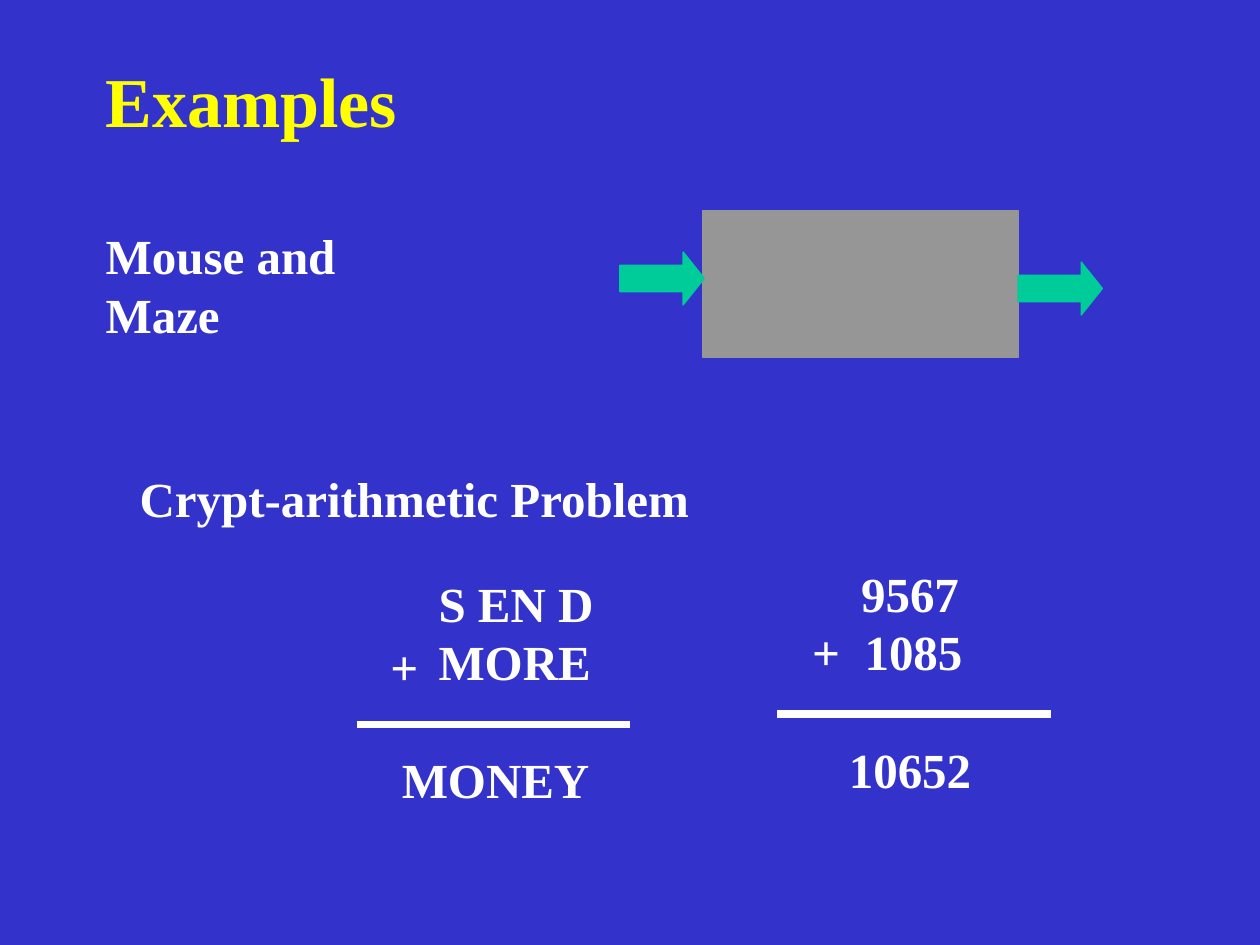
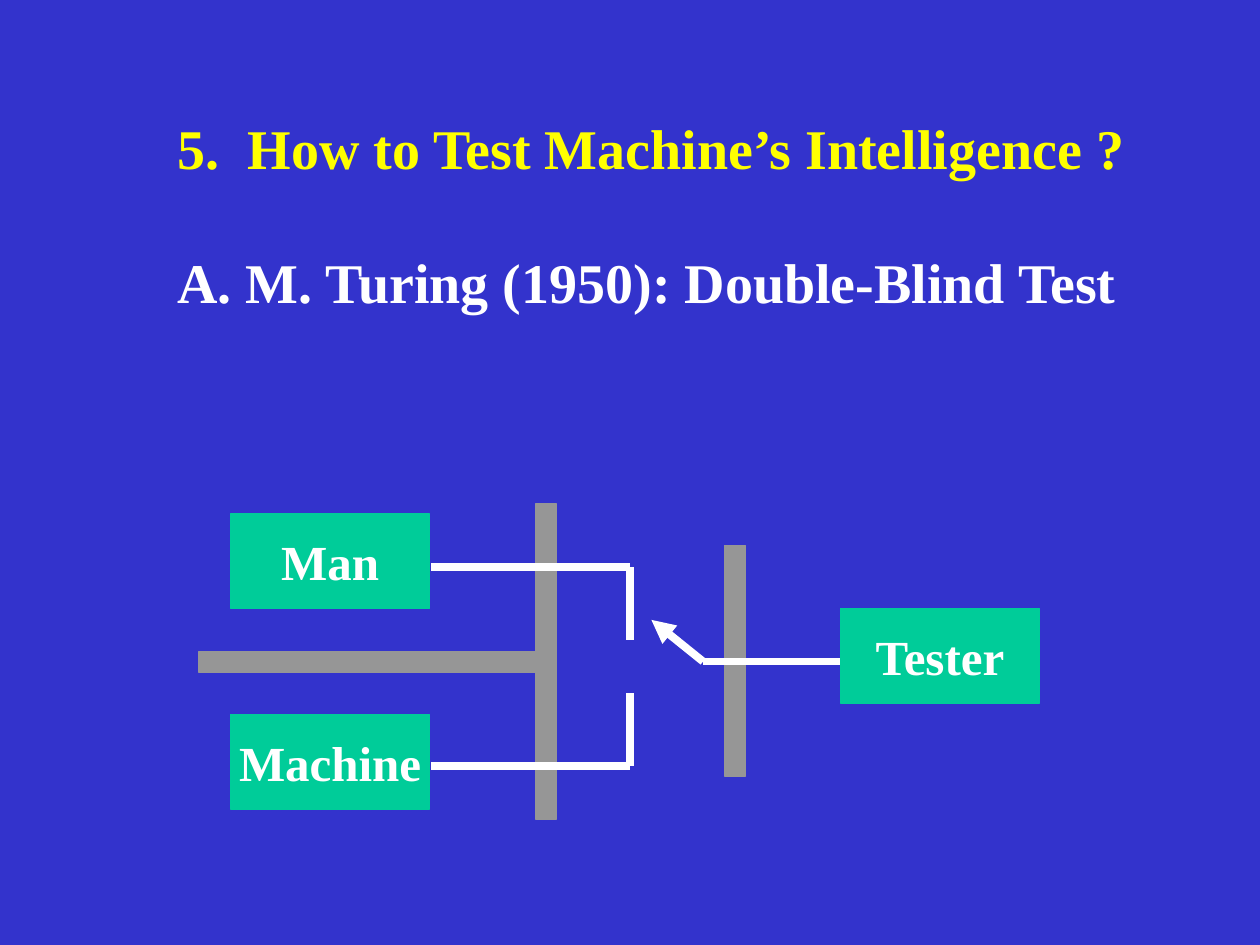
"""Build two slides on example problems and the Turing test."""
from dataclasses import dataclass

import pptx
import pptx.dml.color
import pptx.enum.dml
import pptx.enum.shapes
import pptx.enum.text
import pptx.oxml.ns
import pptx.presentation
import pptx.shapes.autoshape
import pptx.slide
import pptx.text.text
import pptx.util
from lxml import etree

Inches = pptx.util.Inches
Pt = pptx.util.Pt
RGB = pptx.dml.color.RGBColor
Shape = pptx.enum.shapes.MSO_SHAPE
qn = pptx.oxml.ns.qn


@dataclass(frozen=True)
class Theme:
    background: RGB = RGB(0x33, 0x33, 0xCC)
    title: RGB = RGB(0xFF, 0xFF, 0x00)
    text: RGB = RGB(0xFF, 0xFF, 0xFF)
    accent: RGB = RGB(0x00, 0xCC, 0x99)
    wall: RGB = RGB(0x96, 0x96, 0x96)
    font: str = "Times New Roman"
    title_size: int = 40
    heading_size: int = 32
    body_size: int = 28
    leading: float = 1.2
    outline: float = 0.75
    stroke: float = 4.5


THEME = Theme()


@dataclass(frozen=True)
class Para:
    text: str
    size: int = THEME.body_size
    color: RGB = THEME.text
    margin: int = 0
    hanging: int = 0
    gap: int = 0


@dataclass(frozen=True)
class TextBox:
    left: float
    top: float
    width: float
    height: float
    paras: tuple[Para, ...]


@dataclass(frozen=True)
class Block:
    left: float
    top: float
    width: float
    height: float
    color: RGB = THEME.wall
    label: str = ""
    kind: Shape = Shape.RECTANGLE


@dataclass(frozen=True)
class Stroke:
    x1: float
    y1: float
    x2: float
    y2: float
    arrow: bool = False


def arrow(left: float, top: float) -> Block:
    return Block(left, top, 0.67, 0.42, THEME.accent, kind=Shape.RIGHT_ARROW)


def party(label: str, left: float, top: float) -> Block:
    return Block(left, top, 1.58, 0.75, THEME.accent, label)


def write_para(p: pptx.text.text._Paragraph, para: Para) -> None:
    p.text = para.text
    pPr = p._p.get_or_add_pPr()
    pPr.set("marL", str(Pt(para.margin)))
    pPr.set("indent", str(-Pt(para.hanging)))
    p.line_spacing = Pt(para.size * THEME.leading)
    if para.gap:
        p.space_before = Pt(para.gap * THEME.leading)
    for r in p.runs:
        r.font.name = THEME.font
        r.font.size = Pt(para.size)
        r.font.bold = True
        r.font.color.rgb = para.color


def draw_text(slide: pptx.slide.Slide, box: TextBox) -> None:
    sp = slide.shapes.add_textbox(
        Inches(box.left), Inches(box.top), Inches(box.width), Inches(box.height))
    tf = sp.text_frame
    tf.word_wrap = False
    tf.auto_size = pptx.enum.text.MSO_AUTO_SIZE.SHAPE_TO_FIT_TEXT
    for i, para in enumerate(box.paras):
        write_para(tf.add_paragraph() if i else tf.paragraphs[0], para)


def draw_block(slide: pptx.slide.Slide, block: Block) -> None:
    sp = slide.shapes.add_shape(
        block.kind, Inches(block.left), Inches(block.top),
        Inches(block.width), Inches(block.height))
    sp.shadow.inherit = False
    sp.fill.solid()
    sp.fill.fore_color.rgb = block.color
    sp.line.color.rgb = block.color
    sp.line.width = Pt(THEME.outline)
    if block.kind == Shape.RIGHT_ARROW:
        sp.adjustments[1] = 0.4
    if block.label:
        tf = sp.text_frame
        tf.word_wrap = False
        tf.vertical_anchor = pptx.enum.text.MSO_ANCHOR.MIDDLE
        write_para(tf.paragraphs[0], Para(block.label))
        tf.paragraphs[0].alignment = pptx.enum.text.PP_ALIGN.CENTER


def draw_stroke(slide: pptx.slide.Slide, stroke: Stroke) -> None:
    line = slide.shapes.add_connector(
        pptx.enum.shapes.MSO_CONNECTOR.STRAIGHT, Inches(stroke.x1),
        Inches(stroke.y1), Inches(stroke.x2), Inches(stroke.y2))
    line.line.color.rgb = THEME.text
    line.line.width = Pt(THEME.stroke)
    if stroke.arrow:
        etree.SubElement(line.line._get_or_add_ln(), qn("a:tailEnd"), type="triangle")
    etree.SubElement(line._element.spPr, qn("a:effectLst"))


def add_slide(prs: pptx.presentation.Presentation, texts: list[TextBox],
              blocks: list[Block], strokes: list[Stroke]) -> None:
    slide = prs.slides.add_slide(prs.slide_layouts[6])
    slide.background.fill.solid()
    slide.background.fill.fore_color.rgb = THEME.background
    for box in texts:
        draw_text(slide, box)
    for block in blocks:
        draw_block(slide, block)
    for stroke in strokes:
        draw_stroke(slide, stroke)


def add_examples(prs: pptx.presentation.Presentation) -> None:
    body = THEME.body_size
    texts = [
        TextBox(0.74, 0.41, 3.02, 1.9, (
            Para("Examples", THEME.title_size, THEME.title),
            Para("Mouse and Maze", gap=THEME.title_size))),
        TextBox(1.01, 3.67, 4.56, 0.57, (Para("Crypt-arithmetic Problem"),)),
        TextBox(3.09, 4.5, 1.72, 1.97, (
            Para("S EN D", margin=21), Para("MORE", margin=21),
            Para("MONEY", gap=body))),
        TextBox(3, 5, 0.42, 0.57, (Para("+"),)),
        TextBox(6.25, 4.42, 1.56, 1.97, (
            Para("9567", margin=35), Para("+\t1085", margin=37, hanging=30),
            Para("10652", margin=28, gap=body))),
    ]
    maze = Block(5.58, 1.67, 2.5, 1.17)
    blocks = [maze, arrow(4.92, 2), arrow(maze.left + maze.width, 2.08)]
    sum_lines = [Stroke(x, y, x + 2.17, y) for x, y in ((2.83, 5.75), (6.17, 5.67))]
    add_slide(prs, texts, blocks, sum_lines)


def add_turing_test(prs: pptx.presentation.Presentation) -> None:
    size = THEME.heading_size
    heading = TextBox(1.31, 0.85, 7.79, 1.7, (
        Para("5.\tHow to Test Machine’s Intelligence ?", size, THEME.title,
             margin=40, hanging=40),
        Para("A. M. Turing (1950): Double-Blind Test", size, gap=size)))
    blocks = [
        party("Man", 1.83, 4.08),
        party("Machine", 1.83, 5.67),
        Block(1.58, 5.17, 2.67, 0.17),
        Block(4.25, 4, 0.17, 2.5),
        Block(5.75, 4.33, 0.17, 1.83),
        party("Tester", 6.67, 4.83),
    ]
    strokes = [Stroke(5.58, 5.25, 6.67, 5.25), Stroke(5.58, 5.25, 5.17, 4.92, True)]
    for wire_y, contact_y in ((4.5, 5.08), (6.08, 5.5)):
        strokes += [Stroke(3.42, wire_y, 5, wire_y), Stroke(5, wire_y, 5, contact_y)]
    add_slide(prs, [heading], blocks, strokes)


def main() -> None:
    prs = pptx.Presentation()
    prs.slide_width, prs.slide_height = Inches(10), Inches(7.5)
    add_examples(prs)
    add_turing_test(prs)
    prs.save("out.pptx")


if __name__ == "__main__":
    main()
